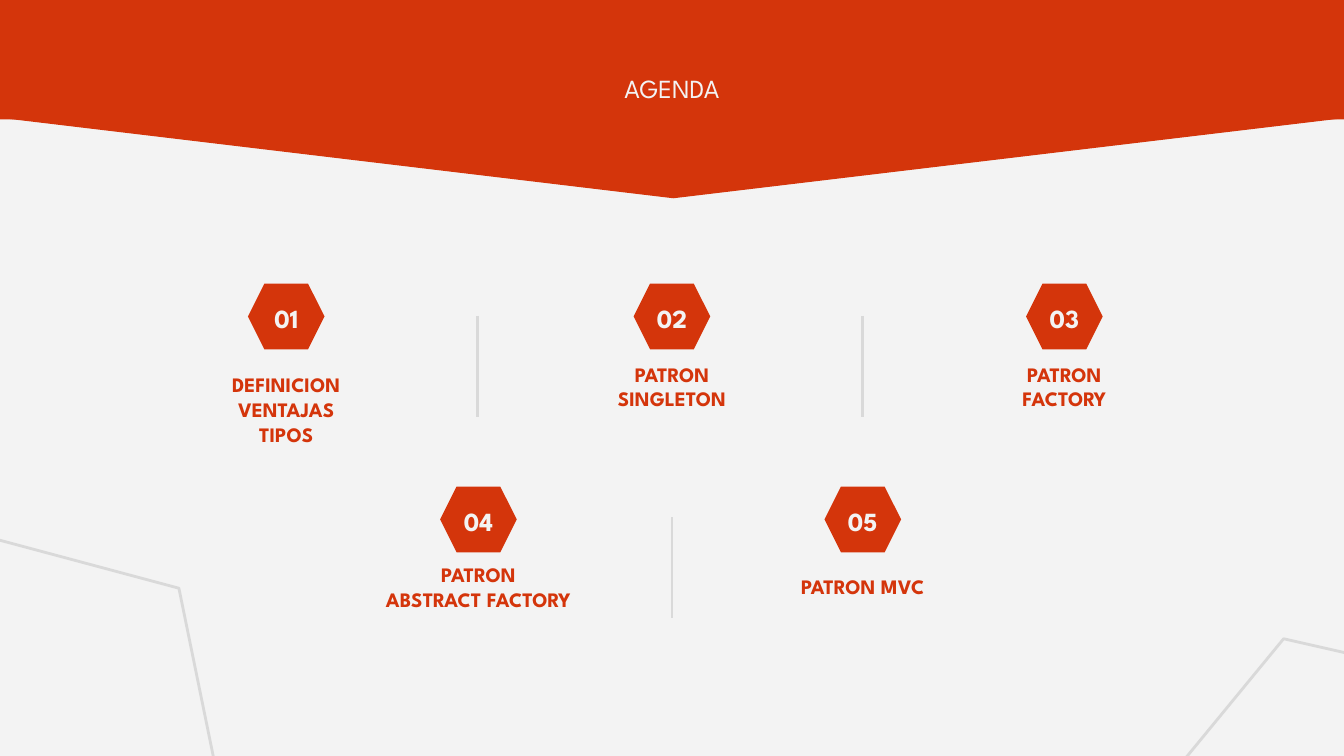
from lxml import etree
from pptx import Presentation
from pptx.dml.color import RGBColor
from pptx.enum import shapes, text
from pptx.oxml.ns import qn
from pptx.util import Inches, Pt

RED, PALE, GREY = "D4350B", "F3F3F3", "D9D9D9"


def color(value):
    return RGBColor.from_string(value)


def add_text(content, left, top, width, height, *, size, fill, bold=False,
             anchor=text.MSO_ANCHOR.MIDDLE):
    box = slide.shapes.add_textbox(Inches(left), Inches(top), Inches(width), Inches(height))
    frame = box.text_frame
    frame.word_wrap = True
    frame.vertical_anchor = anchor
    frame.margin_left = frame.margin_right = Inches(0.1)
    frame.margin_top = frame.margin_bottom = Inches(0.1)
    paragraph = frame.paragraphs[0]
    paragraph.text = content
    paragraph.alignment = text.PP_ALIGN.CENTER
    for run in paragraph.runs:
        run.font.name = "League Spartan"
        run.font.size = Pt(size)
        run.font.bold = bold
        run.font.color.rgb = color(fill)


prs = Presentation()
prs.slide_width = Inches(10)
prs.slide_height = Inches(10) * 9 // 16
slide = prs.slides.add_slide(prs.slide_layouts[6])
slide.background.fill.solid()
slide.background.fill.fore_color.rgb = color(PALE)

# Header banner: a bar with a triangle pointing down
kinds = shapes.MSO_SHAPE
for kind, top, height, rotation in [(kinds.ISOSCELES_TRIANGLE, 0.87, 0.6, 180),
                                    (kinds.RECTANGLE, -0.04, 0.93, 0)]:
    banner = slide.shapes.add_shape(kind, Inches(-0.01), Inches(top), Inches(10.04), Inches(height))
    banner.shadow.inherit = False
    banner.rotation = rotation
    banner.fill.solid()
    banner.fill.fore_color.rgb = color(RED)
    if rotation:
        banner.line.color.rgb = color(RED)
        banner.line.width = Pt(0.75)
    else:
        banner.line.fill.background()
add_text("AGENDA", 3.37, 0.44, 3.26, 0.75, size=14, fill=PALE, anchor=text.MSO_ANCHOR.TOP)

# Agenda topics: center, badge top, label top, label
topics = [
    (2.13, 2.11, 2.73, "DEFINICION\nVENTAJAS\nTIPOS"),
    (5.0, 2.11, 2.56, "PATRON\nSINGLETON"),
    (7.92, 2.11, 2.56, "PATRON\nFACTORY"),
    (3.56, 3.62, 4.05, "PATRON\nABSTRACT FACTORY"),
    (6.42, 3.62, 4.05, "PATRON MVC"),
]
for number, (center, badge_top, label_top, label) in enumerate(topics, 1):
    badge = slide.shapes.add_shape(kinds.HEXAGON, Inches(center - 0.57 / 2), Inches(badge_top),
                                   Inches(0.57), Inches(0.49))
    badge.shadow.inherit = False
    badge.fill.solid()
    badge.fill.fore_color.rgb = color(RED)
    badge.line.fill.background()
    add_text(f"{number:02}", center - 0.41, badge_top + 0.09, 0.82, 0.33,
             size=14, fill=PALE, bold=True)
    label_width = 1.89 if "ABSTRACT" in label else 1.75
    add_text(label, center - label_width / 2, label_top, label_width, 0.63,
             size=11, fill=RED, bold=True)

for x, top in [(3.55, 2.35), (6.42, 2.35), (5, 3.85)]:
    divider = slide.shapes.add_connector(shapes.MSO_CONNECTOR.STRAIGHT, Inches(x), Inches(top),
                                         Inches(x), Inches(top + 0.75))
    divider.line.color.rgb = color(GREY)
    divider.line.width = Pt(1.5)
    etree.SubElement(divider._element.spPr, qn("a:effectLst"))

# Corner outlines running past the slide edges
for left, top, rotation in [(-1.56, 4.08, 15), (8.29, 5.05, 309.4)]:
    outline = slide.shapes.add_shape(kinds.HEXAGON, Inches(left), Inches(top),
                                     Inches(3.23), Inches(2.53))
    outline.shadow.inherit = False
    outline.rotation = rotation
    outline.fill.background()
    outline.line.color.rgb = color(GREY)
    outline.line.width = Pt(1.5)

prs.save("out.pptx")
